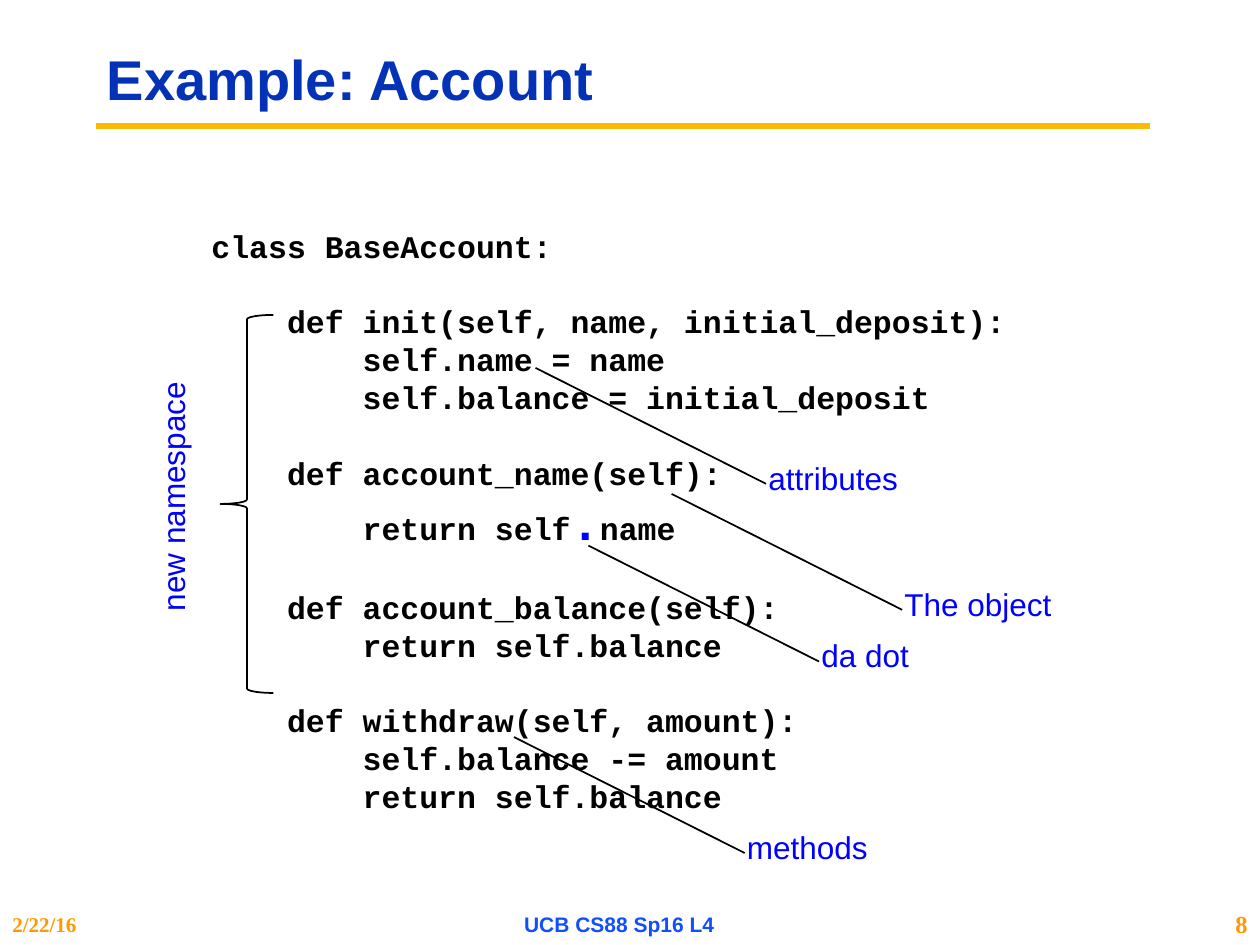
from lxml import etree
from pptx import Presentation
from pptx.dml.color import RGBColor
from pptx.enum.shapes import MSO_CONNECTOR, MSO_SHAPE
from pptx.enum.text import MSO_ANCHOR, PP_ALIGN
from pptx.oxml.ns import qn
from pptx.util import Inches, Pt

STRAIGHT = MSO_CONNECTOR.STRAIGHT
LEFT_BRACE = MSO_SHAPE.LEFT_BRACE
TOP, MIDDLE = MSO_ANCHOR.TOP, MSO_ANCHOR.MIDDLE
LEFT, CENTER, RIGHT = PP_ALIGN.LEFT, PP_ALIGN.CENTER, PP_ALIGN.RIGHT

BLACK, BLUE, NAVY = "000000", "0000FF", "0332B7"
GOLD, ORANGE, FOOTER_BLUE = "FBBA03", "FF9900", "114FFB"
SLIDE_WIDTH, SLIDE_HEIGHT = 10, 7.5

TITLE = "Example: Account"
CODE_BLOCKS = [
    ["class BaseAccount:"],
    ["    def init(self, name, initial_deposit):",
     "        self.name = name",
     "        self.balance = initial_deposit"],
    ["    def account_name(self):",
     ("        return self", ".", "name")],
    ["    def account_balance(self):",
     "        return self.balance"],
    ["    def withdraw(self, amount):",
     "        self.balance -= amount",
     "        return self.balance"],
]
CODE_SIZE, DOT_SIZE, BLOCK_GAP = 18, 28, 21.6

# text, left, width, alignment, font, size, colour
FOOTERS = [
    ("2/22/16", 0, 1.67, LEFT, "Times New Roman", 12, ORANGE),
    ("UCB CS88 Sp16 L4", 3.33, 3.17, CENTER, "Arial", 12, FOOTER_BLUE),
    ("8", 9.42, 0.58, RIGHT, "Times New Roman", 14, ORANGE),
]
FOOTER_HEIGHT = 0.33

# text, label width, point in the code where the pointer starts
CALLOUTS = [
    ("methods", 1.17, (4.08, 5.85)),
    ("attributes", 1.24, (4.25, 2.92)),
    ("The object", 1.38, (5.33, 3.92)),
    ("da dot", 0.9, (4.67, 4.33)),
]
POINTER_RUN, POINTER_RISE = 1.83, 0.92
LABEL_SHIFT_X, LABEL_SHIFT_Y, LABEL_HEIGHT = 0.08, 0.25, 0.4


def color(value):
    return RGBColor.from_string(value)


def set_font(font, name, size, fill, bold=False):
    font.name, font.size, font.bold = name, Pt(size), bold
    font.color.rgb = color(fill)


def add_box(left, top, width, height, anchor=TOP, wrap=False):
    box = slide.shapes.add_textbox(*map(Inches, (left, top, width, height)))
    box.text_frame.word_wrap = wrap
    box.text_frame.vertical_anchor = anchor
    return box


def add_text(text, area, font, align=LEFT, anchor=TOP, wrap=False):
    box = add_box(*area, anchor, wrap)
    para = box.text_frame.paragraphs[0]
    para.text, para.alignment = text, align
    set_font(para.font, *font)
    return box


def add_line(start, end, fill, width):
    line = slide.shapes.add_connector(STRAIGHT, *map(Inches, (*start, *end)))
    line.line.color.rgb = color(fill)
    line.line.width = Pt(width)
    etree.SubElement(line._element.spPr, qn("a:effectLst"))


def add_code(area):
    frame = add_box(*area, wrap=True).text_frame
    para = frame.paragraphs[0]
    for block_index, block in enumerate(CODE_BLOCKS):
        for line_index, line in enumerate(block):
            if block_index or line_index:
                para = frame.add_paragraph()
            if block_index and not line_index:
                para.space_before = Pt(BLOCK_GAP)
            set_font(para.font, "Courier New", CODE_SIZE, BLACK, True)
            for part in [line] if isinstance(line, str) else line:
                span = para.add_run()
                span.text = part
                if part == ".":
                    span.font.size = Pt(DOT_SIZE)
                    span.font.color.rgb = color(BLUE)


deck = Presentation()
deck.slide_width, deck.slide_height = Inches(SLIDE_WIDTH), Inches(SLIDE_HEIGHT)
slide = deck.slides.add_slide(deck.slide_layouts[6])

add_line((0.76, 1), (9.13, 1), GOLD, 3.75)
title = add_text(TITLE, (0.75, 0.25, 8.42, 0.81), ("Arial", 32, NAVY, True),
                 anchor=MIDDLE, wrap=True)
title.text_frame.paragraphs[0].line_spacing = 0.9

for text, left, width, align, font, size, fill in FOOTERS:
    area = (left, SLIDE_HEIGHT - FOOTER_HEIGHT, width, FOOTER_HEIGHT)
    add_text(text, area, (font, size, fill, True), align, MIDDLE, wrap=True)

add_code((1.58, 1.75, 7, 4.88))

brace = slide.shapes.add_shape(LEFT_BRACE, *map(Inches, (1.75, 2.5, 0.42, 3)))
brace.shadow.inherit = False
brace.fill.background()
brace.line.color.rgb = color(BLACK)
brace.line.width = Pt(1)
label_font = ("Arial", 18, BLUE)
add_text("new namespace", (0.35, 3.73, 2.04, LABEL_HEIGHT), label_font).rotation = 270

for text, width, (x, y) in CALLOUTS:
    end_x, end_y = x + POINTER_RUN, y + POINTER_RISE
    area = (end_x - LABEL_SHIFT_X, end_y - LABEL_SHIFT_Y, width, LABEL_HEIGHT)
    add_text(text, area, label_font)
    add_line((x, y), (end_x, end_y), BLACK, 1)

deck.save("out.pptx")
